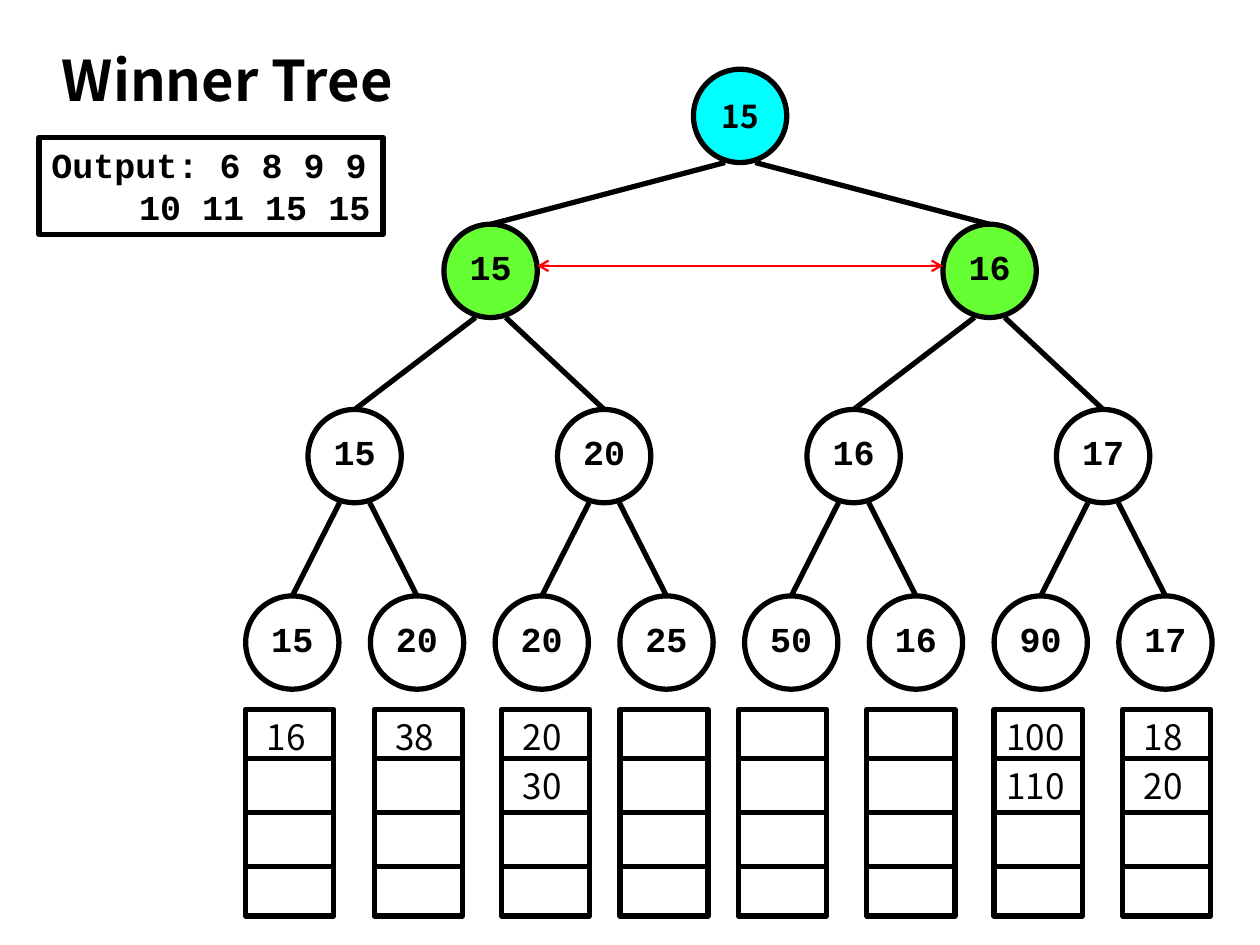
from lxml.etree import SubElement as Sub
from pptx import Presentation
from pptx.dml.color import RGBColor
from pptx.enum.shapes import MSO_CONNECTOR as Conn, MSO_SHAPE as Kind
from pptx.enum.text import MSO_ANCHOR as Anchor, PP_ALIGN as Align
from pptx.oxml.ns import qn
from pptx.util import Inches, Pt

SANS, MONO = "Noto Sans CJK KR", "Courier New"
BLACK, RED = "000000", "FF0000"
TITLE = "Winner Tree"
OUTPUT = [("Output: 6 8 9 9", Align.LEFT), ("10 11 15 15", Align.RIGHT)]

# Each level: top, first column, fill, values
LEVELS = [
    (0.55, 3.59, "00FFFF", ["15"]),
    (1.78, 1.59, "66FF33", ["15", "16"]),
    (3.25, 0.5, None, ["15", "20", "16", "17"]),
    (4.73, 0, None, ["15", "20", "20", "25", "50", "16", "90", "17"]),
]
QUEUES = [
    (1.95, ["16"]), (2.97, ["38"]), (3.98, ["20", "30"]), (4.92, []),
    (5.86, []), (6.88, []), (7.89, ["100", "110"]), (8.91, ["18", "20"]),
]
LEFT, STEP, SIZE, FORK = 1.95, 0.99, 0.74, 0.12
TOP, WIDE, TALL = 5.63, 0.7, 1.64
RULES = [6.02, 6.45, 6.88]


def color(code):
    """Turn a hex string into a colour."""
    return RGBColor.from_string(code)


def write(para, text, size=20, face=MONO, bold=True, align=Align.CENTER):
    """Add one styled run to a paragraph."""
    para.alignment = align
    run = para.add_run()
    run.text = text
    font = run.font
    font.size, font.name, font.bold = Pt(size), face, bold
    font.color.rgb = color(BLACK)


def shape(slide, kind, box, fill=None):
    """Add an outlined shape."""
    item = slide.shapes.add_shape(kind, *map(Inches, box))
    item.shadow.inherit = False
    if fill:
        item.fill.solid()
        item.fill.fore_color.rgb = color(fill)
    else:
        item.fill.background()
    item.line.color.rgb = color(BLACK)
    item.line.width = Pt(3)
    return item


def label(slide, box, text, **style):
    """Add a text box holding one run."""
    frame = slide.shapes.add_textbox(*map(Inches, box)).text_frame
    frame.word_wrap = True
    write(frame.paragraphs[0], text, **style)


def line(slide, start, end, ink=BLACK, width=3, arrows=False):
    """Add a straight line, with arrowheads at both ends if asked."""
    item = slide.shapes.add_connector(Conn.STRAIGHT, *map(Inches, start + end))
    item.line.color.rgb = color(ink)
    item.line.width = Pt(width)
    if arrows:
        for tag in ("a:headEnd", "a:tailEnd"):
            Sub(item.line._get_or_add_ln(), qn(tag), type="arrow")
    Sub(item._element.spPr, qn("a:effectLst"))


def center(depth, index):
    """Give the middle x of a tree node."""
    gap = 2 ** (len(LEVELS) - 1 - depth)
    return LEFT + SIZE / 2 + (LEVELS[depth][1] + index * gap) * STEP


def tree(slide):
    """Draw the nodes, their values and the branches."""
    for depth, (top, _, fill, values) in enumerate(LEVELS):
        for index, value in enumerate(values):
            mid = center(depth, index)
            node = shape(slide, Kind.OVAL, (mid - SIZE / 2, top, SIZE, SIZE), fill)
            if depth == 0:
                frame = node.text_frame
                frame.vertical_anchor = Anchor.MIDDLE
                write(frame.paragraphs[0], value, size=18, face=SANS)
                continue
            label(slide, (mid - WIDE / 2, top + 0.12, WIDE, 0.44), value)
            side = FORK if index % 2 else -FORK
            base = LEVELS[depth - 1][0] + SIZE
            line(slide, (mid, top), (center(depth - 1, index // 2) + side, base))


def queues(slide):
    """Draw the waiting runs below the leaves."""
    for left, values in QUEUES:
        shape(slide, Kind.RECTANGLE, (left, TOP, WIDE, TALL))
        for rule in RULES:
            line(slide, (left, rule), (left + WIDE, rule))
        for top, value in zip([TOP] + RULES, values):
            inset = 0.07 if len(value) < 3 else 0
            label(slide, (left + inset, top, 0.71 - 2 * inset, 0.44), value,
                  face=SANS, bold=False, align=Align.LEFT)


def main():
    """Build the slide."""
    deck = Presentation()
    deck.slide_width, deck.slide_height = Inches(10), Inches(7.5)
    slide = deck.slides.add_slide(deck.slide_layouts[5])
    title = slide.shapes.title
    title.left, title.top, title.width, title.height = map(
        Inches, (0.39, 0.31, 3.36, 0.64))
    title.text_frame.vertical_anchor = Anchor.TOP
    write(title.text_frame.paragraphs[0], TITLE, size=32, face=SANS,
          align=Align.LEFT)
    tree(slide)
    queues(slide)
    frame = shape(slide, Kind.RECTANGLE, (0.31, 1.09, 2.73, 0.77)).text_frame
    frame.word_wrap = False
    frame.vertical_anchor = Anchor.TOP
    for index, (text, align) in enumerate(OUTPUT):
        para = frame.add_paragraph() if index else frame.paragraphs[0]
        write(para, text, align=align)
    ends = center(1, 0) + SIZE / 2, center(1, 1) - SIZE / 2
    line(slide, (ends[0], 2.11), (ends[1], 2.11), RED, 1.25, True)
    deck.save("out.pptx")


if __name__ == "__main__":
    main()
